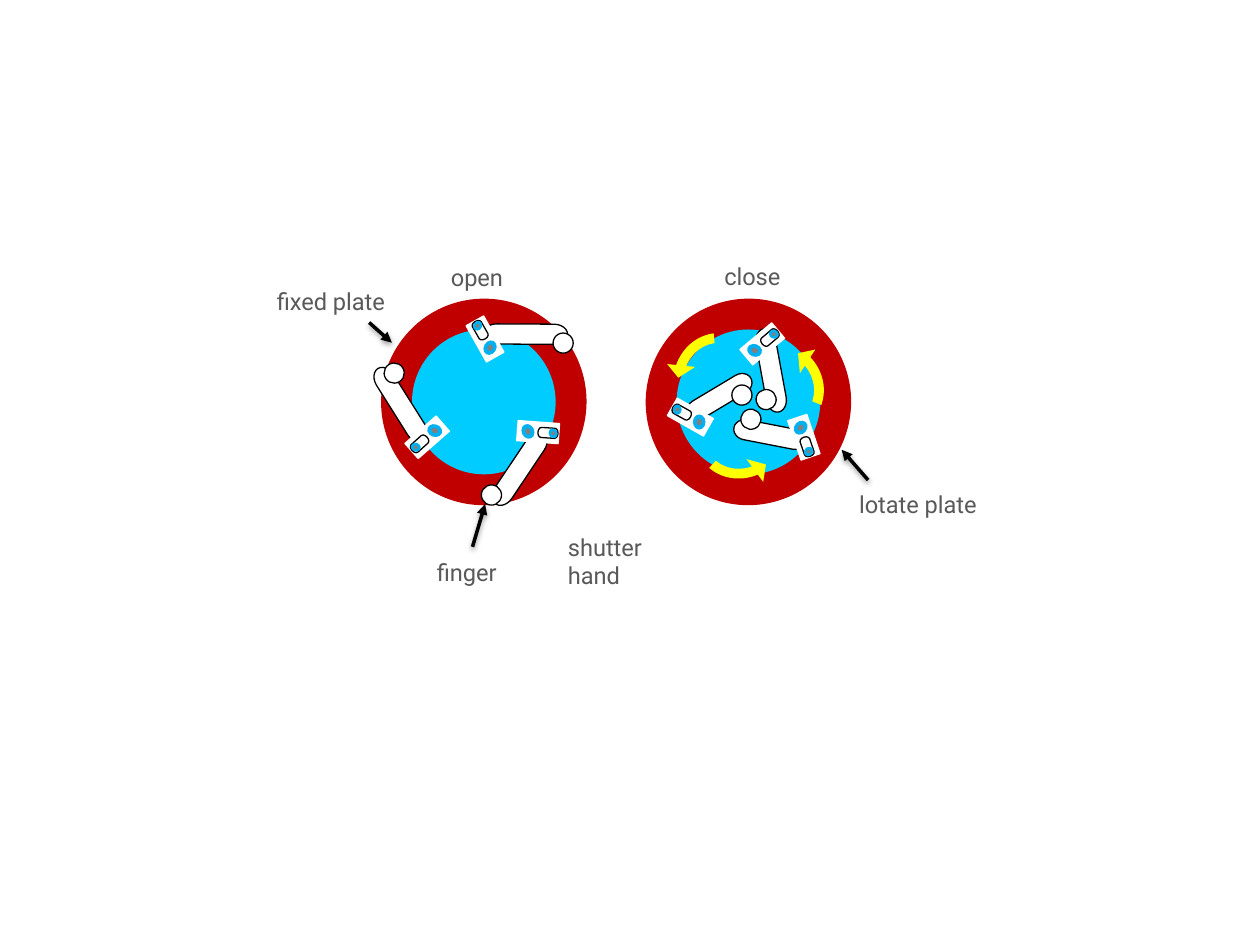
"""Build the slide that shows a shutter hand open and closed."""
from math import cos, radians, sin

from lxml.etree import SubElement
from pptx import Presentation
from pptx.dml.color import RGBColor
from pptx.enum.shapes import MSO_CONNECTOR, MSO_SHAPE
from pptx.enum.text import MSO_AUTO_SIZE
from pptx.oxml import parse_xml
from pptx.oxml.ns import nsdecls, qn
from pptx.util import Inches, Pt

DISC = MSO_SHAPE.OVAL
PILL = MSO_SHAPE.FLOWCHART_TERMINATOR
PLATE = MSO_SHAPE.RECTANGLE
ARROW = MSO_SHAPE.CIRCULAR_ARROW
SHADOW = (
    f'<a:effectLst {nsdecls("a")}>'
    '<a:outerShdw blurRad="39400" dist="20300" dir="5400000" rotWithShape="0">'
    '<a:srgbClr val="000000"><a:alpha val="38000"/></a:srgbClr>'
    "</a:outerShdw></a:effectLst>"
)


def tint(code):
    """Turn a hex string into a colour."""
    return RGBColor.from_string(code)


def draw(kind, x, y, wide, high, turn=0, fill=None, line=None):
    """Add a shape centred on x, y."""
    shape = slide.shapes.add_shape(
        kind, Inches(x - wide / 2), Inches(y - high / 2), Inches(wide), Inches(high))
    shape.rotation = turn % 360
    shape.shadow.inherit = False
    if fill:
        shape.fill.solid()
        shape.fill.fore_color.rgb = tint(fill)
    else:
        shape.fill.background()
    if line:
        shape.line.color.rgb = tint(line)
        shape.line.width = Pt(0.75)
    else:
        shape.line.fill.background()
    return shape


deck = Presentation()
deck.slide_width, deck.slide_height = Inches(10), Inches(7.5)
slide = deck.slides.add_slide(deck.slide_layouts[6])

for x in (3.84, 5.94):
    draw(DISC, x, 3.19, 1.63, 1.64, 15, "C00000")
    draw(DISC, x, 3.19, 1.14, 1.15, 0, "00CCFF")

# x, y, mount turn, arm turn, arm length, arm centre, tip centre
fingers = [
    (4.27, 3.43, 94.2, 123.8, 0.68, (0.32, -0.04), (0.62, 0.03)),
    (3.85, 2.69, 330.7, 0.3, 0.67, (0.32, -0.04), (0.62, 0.03)),
    (3.39, 3.47, 228.7, 237.8, 0.68, (0.33, -0.04), (0.57, 0.05)),
    (6.38, 3.47, 161.4, 191, 0.58, (0.27, -0.03), (0.44, 0.06)),
    (6.05, 2.73, 50, 79.6, 0.67, (0.22, -0.03), (0.44, 0.05)),
    (5.48, 3.31, 299.5, 329.1, 0.58, (0.28, -0.02), (0.44, 0.06)),
]
for x, y, mount, arm, size, mid, tip in fingers:
    parts = [
        (PILL, arm, mid, size, 0.16, 0, "FFFFFF", "000000"),
        (DISC, arm, tip, 0.16, 0.16, 0, "FFFFFF", "000000"),
        (PLATE, mount, (0, 0), 0.16, 0.33, 0, "FFFFFF", "FFFFFF"),
        (DISC, mount, (0, 0.08), 0.12, 0.1, -29.5, "00B0F0", None),
        (DISC, mount, (0, 0.08), 0.05, 0.04, -29.5, "808080", None),
        (PILL, mount, (0, -0.08), 0.16, 0.08, -90.4, None, "000000"),
        (DISC, mount, (0, -0.12), 0.08, 0.07, -29.5, "00B0F0", None),
        (DISC, mount, (0, -0.12), 0.03, 0.03, -29.5, "808080", None),
    ]
    for kind, base, (right, down), wide, high, turn, fill, line in parts:
        c, s = cos(radians(base)), sin(radians(base))
        draw(kind, x + right * c - down * s, y + right * s + down * c,
             wide, high, base + turn, fill, line)

for x, y, turn in [(5.7, 3.03, 5.4), (5.89, 3.43, 233.3), (6.16, 3.07, 122.6)]:
    arrow = draw(ARROW, x, y, 0.86, 0.92, turn, "FFFF00")
    arrow._element.spPr.xfrm.set("flipH", "1")
    for i, bend in enumerate([0.09, 10.79, 204.98, 168.41, 0.13]):
        arrow.adjustments[i] = bend

labels = [
    ("shutter hand", 4.41, 4.18, 1.2, 0.56),
    ("open", 3.48, 2.04, 0.85, 0.33),
    ("close", 5.65, 2.03, 0.69, 0.33),
    ("lotate plate", 6.72, 3.84, 1.19, 0.33),
    ("finger", 3.37, 4.38, 1.2, 0.33),
    ("fixed plate", 2.1, 2.23, 1.17, 0.33),
]
for words, x, y, wide, high in labels:
    box = slide.shapes.add_textbox(Inches(x), Inches(y), Inches(wide), Inches(high))
    frame = box.text_frame
    frame.word_wrap = True
    frame.auto_size = MSO_AUTO_SIZE.SHAPE_TO_FIT_TEXT
    run = frame.paragraphs[0].add_run()
    run.text = words
    run.font.name = "Roboto"
    run.font.size = Pt(13.5)
    run.font.color.rgb = tint("595959")

leads = [
    (2.93, 2.56, 3.11, 2.72),
    (3.75, 4.34, 3.85, 4),
    (6.89, 3.81, 6.68, 3.57),
]
for ends in leads:
    lead = slide.shapes.add_connector(MSO_CONNECTOR.STRAIGHT, *map(Inches, ends))
    lead.line.color.rgb = tint("000000")
    lead.line.width = Pt(2)
    SubElement(lead.line._get_or_add_ln(), qn("a:tailEnd"), type="triangle")
    lead._element.spPr.append(parse_xml(SHADOW))

deck.save("out.pptx")
